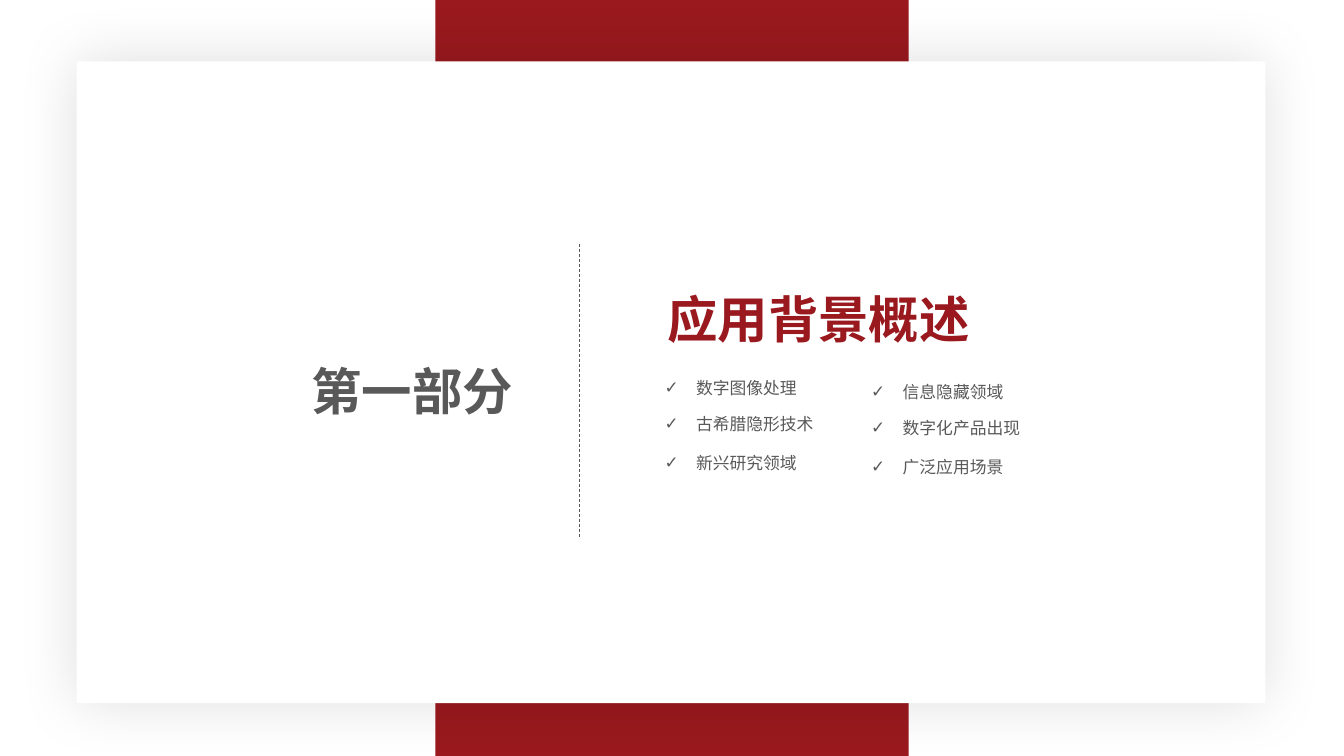
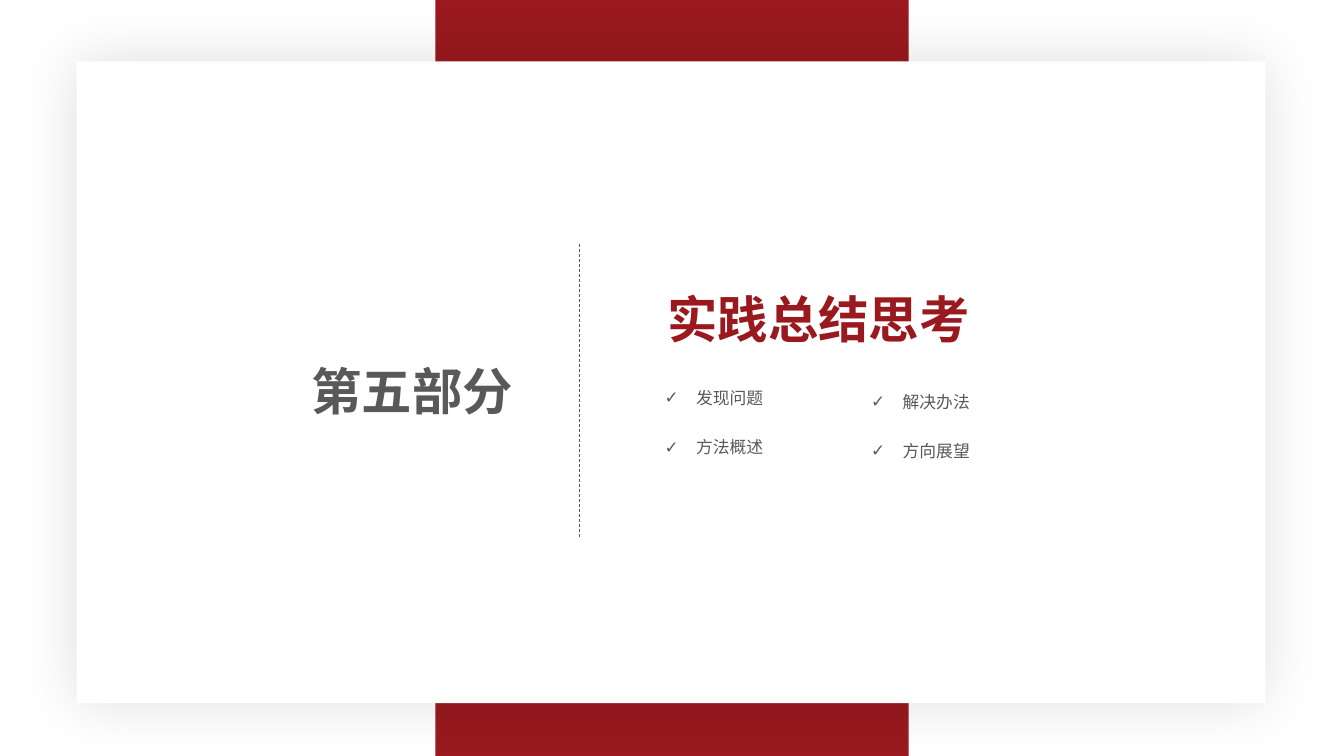
from lxml import etree
from pptx import Presentation
from pptx.dml.color import RGBColor
from pptx.enum.dml import MSO_LINE
from pptx.enum.shapes import MSO_CONNECTOR, MSO_SHAPE
from pptx.enum.text import MSO_ANCHOR, MSO_AUTO_SIZE, PP_ALIGN
from pptx.oxml.ns import qn
from pptx.util import Pt

RECT = MSO_SHAPE.RECTANGLE
STRAIGHT = MSO_CONNECTOR.STRAIGHT
DASH = MSO_LINE.DASH
TOP = MSO_ANCHOR.TOP
FIT = MSO_AUTO_SIZE.SHAPE_TO_FIT_TEXT
LEFT, CENTER = PP_ALIGN.LEFT, PP_ALIGN.CENTER

RED = RGBColor(0x99, 0x19, 0x1E)
GREY = RGBColor(0x59, 0x59, 0x59)
WHITE = RGBColor(0xFF, 0xFF, 0xFF)
FONT = "Arial Narrow"

COLUMN_X = (469.4, 617)
COLUMN_DROP = 2.8
ITEM_SIZE = 12
ITEM_INDENT = 22.5

SECTIONS = [
    ("第一部分", "应用背景概述", (267.1, 292.8, 320.4),
     (("数字图像处理", "古希腊隐形技术", "新兴研究领域"),
      ("信息隐藏领域", "数字化产品出现", "广泛应用场景"))),
    ("第五部分", "实践总结思考", (274.3, 309.6),
     (("发现问题", "方法概述"),
      ("解决办法", "方向展望"))),
]


def add_rect(s, x, y, w, h, color):
    sp = s.shapes.add_shape(RECT, Pt(x), Pt(y), Pt(w), Pt(h))
    sp.shadow.inherit = False
    sp.fill.solid()
    sp.fill.fore_color.rgb = color
    sp.line.fill.background()
    return sp


def set_text(sp, text, size, color, bold=False, align=LEFT, wrap=False):
    tf = sp.text_frame
    tf.word_wrap = wrap
    tf.auto_size = FIT
    tf.vertical_anchor = TOP
    p = tf.paragraphs[0]
    p.text = text
    p.alignment = align
    p.font.size = Pt(size)
    p.font.bold = bold
    p.font.name = FONT
    p.font.color.rgb = color
    latin = next(sp.element.iter(qn("a:latin")))
    latin.addnext(latin.makeelement(qn("a:ea"), typeface=FONT))
    return tf


prs = Presentation()
prs.slide_width = Pt(960)
prs.slide_height = Pt(540)

for part, title, rows, columns in SECTIONS:
    s = prs.slides.add_slide(prs.slide_layouts[5])

    add_rect(s, 311, 0, 338, 540, RED)
    card = add_rect(s, 54.8, 43.9, 849, 458.4, WHITE)
    effects = card.element.spPr.find(qn("a:effectLst"))
    shadow = etree.SubElement(effects, qn("a:outerShdw"), blurRad=str(Pt(44)),
                              dist="0", dir="0", algn="ctr", rotWithShape="0")
    black = etree.SubElement(shadow, qn("a:srgbClr"), val="000000")
    etree.SubElement(black, qn("a:alpha"), val="12000")

    sp = s.shapes.add_textbox(Pt(113), Pt(253.4), Pt(363), Pt(51))
    set_text(sp, part, 36, GREY, bold=True, align=CENTER, wrap=True)

    sp = s.shapes.title
    sp.left, sp.top, sp.width, sp.height = Pt(COLUMN_X[0]), Pt(202.3), Pt(232.6), Pt(51)
    set_text(sp, title, 36, RED, bold=True)
    s.shapes.element.append(sp.element)

    for col, (x, items) in enumerate(zip(COLUMN_X, columns)):
        for y, item in zip(rows, items):
            width = ITEM_SIZE * len(item) + 34.5
            sp = s.shapes.add_textbox(Pt(x), Pt(y + col * COLUMN_DROP), Pt(width), Pt(20))
            tf = set_text(sp, item, ITEM_SIZE, GREY)
            tf.margin_left = tf.margin_right = Pt(5.3)
            tf.margin_top = tf.margin_bottom = Pt(2.7)
            pPr = next(sp.element.iter(qn("a:pPr")))
            pPr.set("marL", str(Pt(ITEM_INDENT)))
            pPr.set("indent", str(-Pt(ITEM_INDENT)))
            pPr.insert(0, pPr.makeelement(qn("a:buFont"), typeface="Wingdings"))
            pPr.insert(1, pPr.makeelement(qn("a:buChar"), char="✓"))
            pPr[0].set("typeface", "Arial")

    line = s.shapes.add_connector(STRAIGHT, Pt(414), Pt(174.2), Pt(414), Pt(384.5))
    line.line.color.rgb = GREY
    line.line.width = Pt(0.5)
    line.line.dash_style = DASH
    etree.SubElement(line.element.spPr, qn("a:effectLst"))

prs.save("out.pptx")
